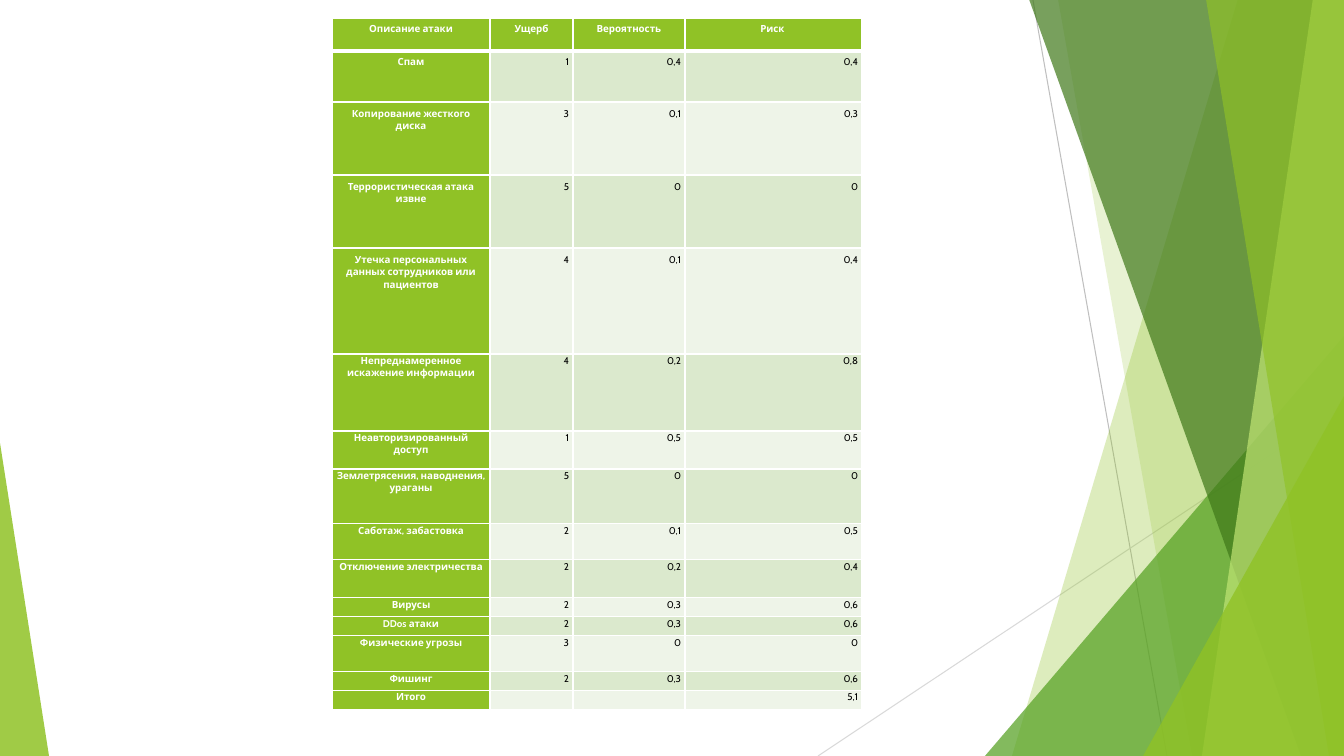
from dataclasses import dataclass
from typing import Union

from lxml import etree
from pptx import Presentation
from pptx.dml.color import RGBColor
from pptx.enum.shapes import MSO_CONNECTOR, MSO_SHAPE
from pptx.enum.text import MSO_ANCHOR, PP_ALIGN
from pptx.oxml.ns import qn
from pptx.util import Emu, Pt

STRAIGHT = MSO_CONNECTOR.STRAIGHT
TRIANGLE = MSO_SHAPE.ISOSCELES_TRIANGLE
CENTER, RIGHT = PP_ALIGN.CENTER, PP_ALIGN.RIGHT
TOP = MSO_ANCHOR.TOP

EMU_PER_PX = 914400 / 100.8
SLIDE_WIDTH, SLIDE_HEIGHT = 1344, 756
BLANK_LAYOUT = 6


@dataclass(frozen=True)
class Theme:
    font: str = "Cabin"
    text_size: float = 7
    line_width: float = 0.75
    border_width: float = 1
    header_border_width: float = 3
    white: str = "FFFFFF"
    black: str = "000000"
    lime: str = "90C226"
    green: str = "54A021"
    dark_green: str = "3F7819"
    pale_lime: str = "C0E474"
    odd_row: str = "DBE9CD"
    even_row: str = "EEF4E8"
    gray: str = "BFBFBF"
    light_gray: str = "D9D9D9"


THEME = Theme()


@dataclass(frozen=True)
class Ray:
    start: tuple[int, int]
    end: tuple[int, int]
    color: str


@dataclass(frozen=True)
class Band:
    """A full-height facet reaching from its slanted left side to the right slide edge."""
    top_x: int
    bottom_x: int
    color: str
    opacity: int


@dataclass(frozen=True)
class Corner:
    """A right triangle standing on the bottom slide edge; apex is 0 (left) or 1 (right)."""
    left: int
    top: int
    width: int
    apex: int
    color: str
    opacity: int


@dataclass(frozen=True)
class Row:
    height: int
    texts: tuple[str, str, str, str]


RAYS = (
    Ray((1033, 0), (1167, 756), THEME.gray),
    Ray((1344, 406), (818, 756), THEME.light_gray),
)
FACETS: tuple[Union[Band, Corner], ...] = (
    Band(1238, 1012, THEME.lime, 30),
    Band(1058, 1192, THEME.lime, 20),
    Corner(985, 336, 359, 1, THEME.green, 72),
    Band(1029, 1301, THEME.dark_green, 70),
    Band(1313, 1202, THEME.pale_lime, 70),
    Band(1206, 1329, THEME.lime, 65),
    Corner(1143, 396, 201, 1, THEME.lime, 80),
    Corner(0, 443, 49, 0, THEME.lime, 85),
)

TABLE_LEFT, TABLE_TOP = 332, 18
COLUMN_WIDTHS = (158, 83, 112, 177)
SIDE_MARGIN, PADDING = 4, 5
PADDED_ROWS = 5
SINGLE_SPACED_ROWS = 2
LOOSE_SPACING = 1.07
ROWS = (
    Row(33, ("Описание атаки", "Ущерб", "Вероятность", "Риск ")),
    Row(51, ("Спам", "1", "0,4", "0,4")),
    Row(73, ("Копирование жесткого диска", "3", "0,1", "0,3")),
    Row(73, ("Террористическая атака извне", "5", "0", "0")),
    Row(106, ("Утечка персональных данных сотрудников или пациентов", "4", "0,1", "0,4")),
    Row(77, ("Непреднамеренное искажение информации", "4", "0,2", "0,8")),
    Row(38, ("Неавторизированный доступ", "1", "0,5", "0,5")),
    Row(55, ("Землетрясения, наводнения, ураганы", "5", "0", "0")),
    Row(36, ("Саботаж, забастовка", "2", "0,1", "0,5")),
    Row(38, ("Отключение электричества", "2", "0,2", "0,4")),
    Row(19, ("Вирусы", "2", "0,3", "0,6")),
    Row(19, ("DDos атаки", "2", "0,3", "0,6")),
    Row(36, ("Физические угрозы", "3", "0", "0")),
    Row(19, ("Фишинг", "2", "0,3", "0,6")),
    Row(19, ("Итого", "", "", "5,1")),
)


def px(value: int) -> Emu:
    return Emu(round(value * EMU_PER_PX))


def rgb(color: str) -> RGBColor:
    return RGBColor.from_string(color)


def apply_format(target, values: dict) -> None:
    for name, value in values.items():
        setattr(target, name, value)


def draw_ray(slide, ray: Ray) -> None:
    line = slide.shapes.add_connector(STRAIGHT, *map(px, ray.start + ray.end))
    line.line.color.rgb = rgb(ray.color)
    line.line.width = Pt(THEME.line_width)
    etree.SubElement(line._element.spPr, qn("a:effectLst"))


def draw_facet(slide, facet: Union[Band, Corner]) -> None:
    if isinstance(facet, Band):
        builder = slide.shapes.build_freeform(facet.top_x, -1, scale=EMU_PER_PX)
        builder.add_line_segments([(SLIDE_WIDTH, -1), (SLIDE_WIDTH, SLIDE_HEIGHT),
                                   (facet.bottom_x, SLIDE_HEIGHT)])
        shape = builder.convert_to_shape()
    else:
        height = SLIDE_HEIGHT - facet.top
        shape = slide.shapes.add_shape(
            TRIANGLE, px(facet.left), px(facet.top), px(facet.width), px(height))
        shape.adjustments[0] = facet.apex
    shape.shadow.inherit = False
    shape.line.fill.background()
    shape.fill.solid()
    shape.fill.fore_color.rgb = rgb(facet.color)
    color = shape._element.spPr.find(".//" + qn("a:srgbClr"))
    etree.SubElement(color, qn("a:alpha"), val=str(facet.opacity * 1000))


def draw_borders(cell, row_index: int) -> None:
    properties = cell._tc.get_or_add_tcPr()
    thick_side = {0: "B", 1: "T"}.get(row_index)
    for side in "LRTB":
        width = THEME.header_border_width if side == thick_side else THEME.border_width
        line = etree.SubElement(properties, qn(f"a:ln{side}"), w=str(Pt(width)))
        fill = etree.SubElement(line, qn("a:solidFill"))
        etree.SubElement(fill, qn("a:srgbClr"), val=THEME.white)


def fill_cell(cell, text: str, row_index: int, column_index: int) -> None:
    is_heading = row_index == 0 or column_index == 0
    padding = px(PADDING if row_index < PADDED_ROWS else 0)
    apply_format(cell, {
        "margin_left": px(SIDE_MARGIN), "margin_right": px(SIDE_MARGIN),
        "margin_top": padding, "margin_bottom": padding, "vertical_anchor": TOP})
    draw_borders(cell, row_index)
    band = THEME.odd_row if row_index % 2 else THEME.even_row
    cell.fill.solid()
    cell.fill.fore_color.rgb = rgb(THEME.lime if is_heading else band)

    paragraph = cell.text_frame.paragraphs[0]
    apply_format(paragraph, {
        "alignment": CENTER if is_heading else RIGHT,
        "line_spacing": 1.0 if row_index < SINGLE_SPACED_ROWS else LOOSE_SPACING})
    if not text:
        etree.SubElement(paragraph._p, qn("a:endParaRPr"), sz=str(THEME.text_size * 100))
        return
    run = paragraph.add_run()
    run.text = text
    apply_format(run.font, {
        "name": THEME.font, "size": Pt(THEME.text_size), "bold": is_heading})
    run.font.color.rgb = rgb(THEME.white if is_heading else THEME.black)


def draw_risk_table(slide) -> None:
    height = sum(row.height for row in ROWS)
    table = slide.shapes.add_table(
        len(ROWS), len(COLUMN_WIDTHS), px(TABLE_LEFT), px(TABLE_TOP),
        px(sum(COLUMN_WIDTHS)), px(height)).table
    for column, width in zip(table.columns, COLUMN_WIDTHS):
        column.width = px(width)
    for row_index, row in enumerate(ROWS):
        table.rows[row_index].height = px(row.height)
        for column_index, text in enumerate(row.texts):
            fill_cell(table.cell(row_index, column_index), text, row_index, column_index)


def main() -> None:
    presentation = Presentation()
    presentation.slide_width, presentation.slide_height = px(SLIDE_WIDTH), px(SLIDE_HEIGHT)
    slide = presentation.slides.add_slide(presentation.slide_layouts[BLANK_LAYOUT])
    for ray in RAYS:
        draw_ray(slide, ray)
    for facet in FACETS:
        draw_facet(slide, facet)
    draw_risk_table(slide)
    presentation.save("out.pptx")


if __name__ == "__main__":
    main()
